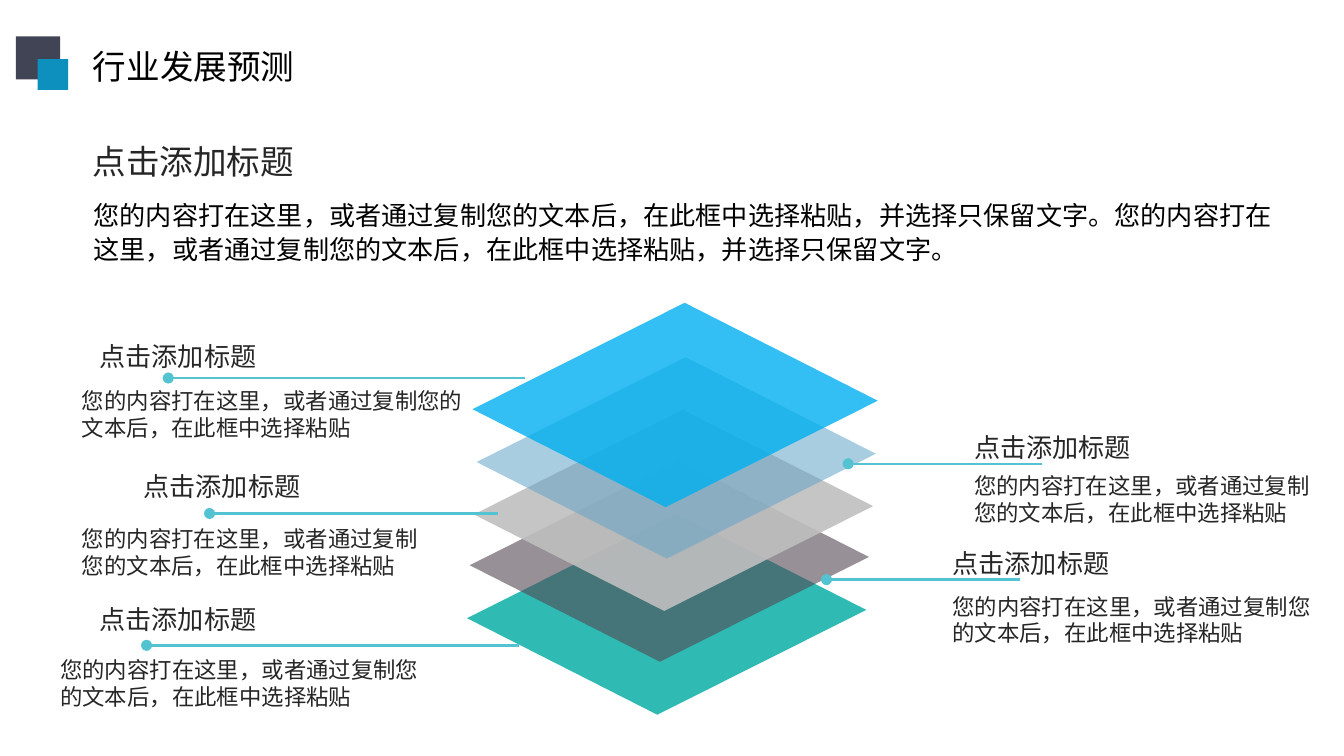
"""Build the industry forecast slide with five stacked sheets and callouts."""
from dataclasses import dataclass

from lxml.etree import SubElement
from pptx import Presentation
from pptx.dml.color import RGBColor
from pptx.enum.shapes import MSO_CONNECTOR, MSO_SHAPE
from pptx.enum.text import MSO_ANCHOR, MSO_AUTO_SIZE, PP_ALIGN
from pptx.oxml.ns import qn
from pptx.shapes.base import BaseShape
from pptx.slide import Slide
from pptx.util import Cm, Pt

FONT = "Noto Sans CJK SC"
BLACK = RGBColor(0x00, 0x00, 0x00)
DARK = RGBColor(0x26, 0x26, 0x26)
AQUA = RGBColor(0x54, 0xC3, 0xD1)
SLATE = RGBColor(0x41, 0x44, 0x55)
BLUE = RGBColor(0x0E, 0x90, 0xBE)
TEAL = RGBColor(0x30, 0xBA, 0xB4)
PLUM = RGBColor(0x53, 0x47, 0x51)
GREY = RGBColor(0xBF, 0xBF, 0xBF)
STEEL = RGBColor(0x64, 0xA4, 0xC7)
SKY = RGBColor(0x00, 0xB0, 0xF0)

HEAD = "点击添加标题"
BODY = "您的内容打在这里，或者通过复制您的文本后，在此框中选择粘贴"
LEAD = f"{BODY}，并选择只保留文字。" * 2


@dataclass
class Box:
    left: float
    top: float
    width: float
    height: float

    def place(self) -> tuple[Cm, ...]:
        return tuple(Cm(n) for n in (self.left, self.top, self.width, self.height))


@dataclass
class Sheet:
    mid_x: float
    mid_y: float
    color: RGBColor
    alpha: int = 100
    scale: float = 0.985


@dataclass
class Callout:
    start: float
    end: float
    level: float
    head: Box
    body: Box


SHEETS = [
    Sheet(12.6, 11.6, TEAL),
    Sheet(12.65, 10.6, PLUM, 60),
    Sheet(12.73, 9.64, GREY, 90),
    Sheet(12.78, 8.65, STEEL, 55),
    Sheet(12.76, 7.65, SKY, 80, 1),
]
CORNERS = [(0.18, -1.93), (3.83, -0.08), (-0.18, 1.93), (-3.83, 0.08)]
CALLOUTS = [
    Callout(3.18, 9.93, 7.14, Box(1.63, 6.3, 4.65, 0.86), Box(1.3, 7.19, 7.98, 1.27)),
    Callout(16.03, 19.69, 8.76, Box(18.16, 8.03, 5.16, 0.86), Box(18.16, 8.79, 6.93, 1.27)),
    Callout(15.62, 19.28, 10.95, Box(17.75, 10.21, 4.78, 0.86), Box(17.75, 11.07, 7.34, 1.27)),
    Callout(3.96, 9.42, 9.7, Box(2.46, 8.76, 4.24, 0.86), Box(1.3, 9.8, 6.88, 1.27)),
    Callout(2.77, 9.8, 12.19, Box(1.63, 11.28, 4.67, 0.86), Box(0.89, 12.27, 7.29, 1.27)),
]
BLOCKS = [
    (Box(0.3, 0.69, 0.84, 0.81), SLATE),
    (Box(0.71, 1.12, 0.58, 0.58), BLUE),
]


def write(shape: BaseShape, text: str, size: float, color: RGBColor = DARK,
          wrap: bool = True, space: float = 1.0) -> None:
    frame = shape.text_frame
    frame.text = text
    para = frame.paragraphs[0]
    run = para.runs[0]
    formats = {
        frame: {"word_wrap": wrap, "auto_size": MSO_AUTO_SIZE.SHAPE_TO_FIT_TEXT,
                "vertical_anchor": MSO_ANCHOR.TOP},
        para: {"alignment": PP_ALIGN.LEFT, "line_spacing": space},
        run.font: {"size": Pt(size), "name": FONT},
    }
    for target, values in formats.items():
        for name, value in values.items():
            setattr(target, name, value)
    run.font.color.rgb = color
    SubElement(run.font._element, qn("a:ea"), typeface=FONT)


def add_text(slide: Slide, box: Box, text: str, size: float, color: RGBColor = DARK,
             wrap: bool = True, space: float = 1.0) -> None:
    write(slide.shapes.add_textbox(*box.place()), text, size, color, wrap, space)


def paint(shape: BaseShape, color: RGBColor, alpha: int = 100) -> None:
    shape.shadow.inherit = False
    shape.fill.solid()
    shape.fill.fore_color.rgb = color
    shape.line.fill.background()
    if alpha < 100:
        tint = shape.fill._xPr.find(f".//{qn('a:srgbClr')}")
        SubElement(tint, qn("a:alpha"), val=str(alpha * 1000))


def draw_sheet(slide: Slide, sheet: Sheet) -> None:
    first, *rest = [(Cm(sheet.mid_x + x * sheet.scale), Cm(sheet.mid_y + y * sheet.scale))
                    for x, y in CORNERS]
    build = slide.shapes.build_freeform(*first)
    build.add_line_segments(rest)
    paint(build.convert_to_shape(), sheet.color, sheet.alpha)


def draw_callout(slide: Slide, call: Callout) -> None:
    level = Cm(call.level)
    line = slide.shapes.add_connector(
        MSO_CONNECTOR.STRAIGHT, Cm(call.start), level, Cm(call.end), level)
    line.line.color.rgb = AQUA
    line.line.width = Pt(1.25)
    SubElement(line.line._get_or_add_ln(), qn("a:headEnd"), type="oval")
    SubElement(line._element.spPr, qn("a:effectLst"))
    add_text(slide, call.head, HEAD, 14)
    add_text(slide, call.body, BODY, 12)


def main() -> None:
    deck = Presentation()
    deck.slide_width, deck.slide_height = Cm(25.4), Cm(14.28)
    slide = deck.slides.add_slide(deck.slide_layouts[5])

    title = slide.shapes.title
    place = Box(1.5, 0.74, 4.37, 1.02).place()
    for name, value in zip(("left", "top", "width", "height"), place):
        setattr(title, name, value)
    write(title, "行业发展预测", 18, BLACK, wrap=False)

    for sheet in SHEETS:
        draw_sheet(slide, sheet)
    for call in CALLOUTS:
        draw_callout(slide, call)
    add_text(slide, Box(1.5, 2.54, 4.37, 1.02), HEAD, 18, wrap=False)
    add_text(slide, Box(1.52, 3.58, 22.96, 1.57), LEAD, 14, BLACK, space=1.1)
    for box, color in BLOCKS:
        paint(slide.shapes.add_shape(MSO_SHAPE.RECTANGLE, *box.place()), color)

    deck.save("out.pptx")


if __name__ == "__main__":
    main()
